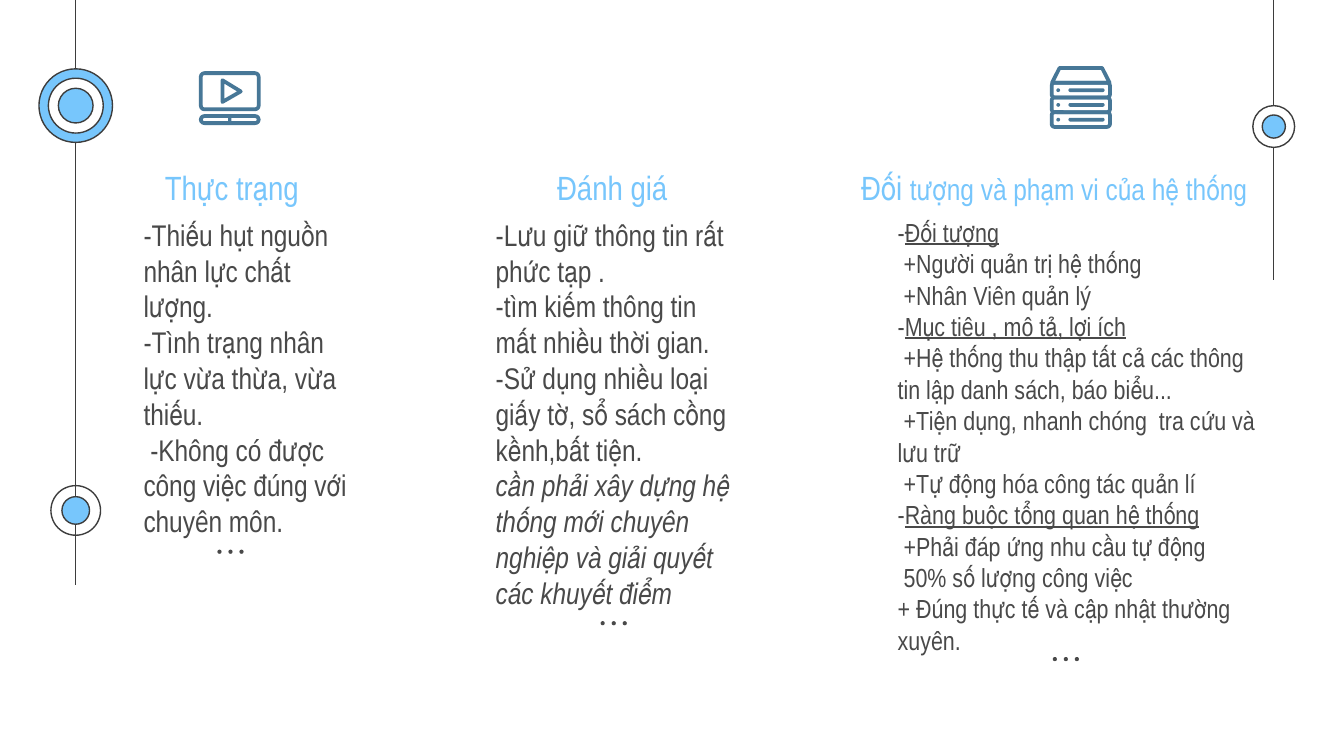
from lxml import etree
from pptx import Presentation
from pptx.dml.color import RGBColor
from pptx.enum.shapes import MSO_CONNECTOR, MSO_SHAPE
from pptx.enum.text import MSO_ANCHOR, PP_ALIGN
from pptx.oxml.ns import qn
from pptx.util import Pt

SKY = RGBColor(0x77, 0xC6, 0xFC)
WHITE = RGBColor(0xFF, 0xFF, 0xFF)
DARK = RGBColor(0x3D, 0x3D, 0x3D)
GREY = RGBColor(0x49, 0x49, 0x49)
STEEL = RGBColor(0x47, 0x77, 0x97)
FONT = "Arial Narrow"

prs = Presentation()
prs.slide_width, prs.slide_height = Pt(720), Pt(405)
s = prs.slides.add_slide(prs.slide_layouts[6])


def style(sp, fill=None, line=None, width=0.75):
    """Set fill and outline; None leaves that part empty."""
    sp.shadow.inherit = False
    for part, color in ((sp.fill, fill), (sp.line.fill, line)):
        if color is None:
            part.background()
        else:
            part.solid()
            part.fore_color.rgb = color
    if line is not None:
        sp.line.width = Pt(width)


def add_text(left, top, width, height, paragraphs, size, color, align):
    """Add a text box; each paragraph is a list of (text, {font attribute: value})."""
    tf = s.shapes.add_textbox(Pt(left), Pt(top), Pt(width), Pt(height)).text_frame
    tf.word_wrap = True
    tf.vertical_anchor = MSO_ANCHOR.TOP
    tf.margin_left = tf.margin_right = tf.margin_top = tf.margin_bottom = Pt(7.2)
    for i, runs in enumerate(paragraphs):
        p = tf.paragraphs[0] if i == 0 else tf.add_paragraph()
        p.alignment = align
        p.font.name, p.font.size = FONT, Pt(size)
        p.font.color.rgb = color
        for text, attributes in runs:
            r = p.add_run()
            r.text = text
            for name, value in attributes.items():
                setattr(r.font, name, value)


# Timelines with their rings
LEFT_X, RIGHT_X = 40.6, 682.4
for x, bottom in ((LEFT_X, 313.2), (RIGHT_X, 149.8)):
    line = s.shapes.add_connector(MSO_CONNECTOR.STRAIGHT, Pt(x), Pt(0), Pt(x), Pt(bottom))
    line.line.color.rgb = DARK
    line.line.width = Pt(0.75)
    etree.SubElement(line._element.spPr, qn("a:effectLst"))

rings = [  # centre x, centre y, diameter, fill
    (LEFT_X, 273.5, 26.6, None), (LEFT_X, 273.5, 14.8, SKY),
    (RIGHT_X, 67.8, 22.4, WHITE), (RIGHT_X, 67.8, 12.4, SKY),
    (LEFT_X, 56.6, 39.4, SKY), (LEFT_X, 56.6, 29.4, WHITE), (LEFT_X, 56.6, 18.6, SKY),
]
for x, y, d, fill in rings:
    sp = s.shapes.add_shape(MSO_SHAPE.OVAL, Pt(x - d / 2), Pt(y - d / 2), Pt(d), Pt(d))
    style(sp, fill, DARK)

# Three dots below each column
for left, top in ((116.5, 294.5), (321.8, 332.8), (564, 352)):
    for i in range(3):
        sp = s.shapes.add_shape(MSO_SHAPE.OVAL, Pt(left + 5.9 * i), Pt(top), Pt(2.2), Pt(2.2))
        style(sp, GREY)

# Column headings
headings = [  # left, width, runs
    (54.7, 139, [("Thực trạng", {})]),
    (258.5, 139, [("Đánh giá", {})]),
    (444.2, 241.2, [("Đối ", {}), ("tượng và phạm vi của hệ thống", {"size": Pt(16)})]),
]
for left, width, runs in headings:
    add_text(left, 82.1, width, 26, [runs], 18, SKY, PP_ALIGN.CENTER)

# Column bodies
UNDERLINE = {"underline": True}
situation = [
    [("-Thiếu hụt nguồn nhân lực chất lượng.", {})],
    [("-Tình trạng nhân lực vừa thừa, vừa thiếu.", {})],
    [(" -Không có được công việc đúng với chuyên môn.", {})],
]
assessment = [
    [("-Lưu giữ thông tin rất phức tạp .", {})],
    [("-tìm kiếm thông tin mất nhiều thời gian.", {})],
    [("-Sử dụng nhiều loại giấy tờ, sổ sách cồng kềnh,bất tiện.", {})],
    [("cần phải xây dựng hệ thống mới chuyên nghiệp và giải quyết các khuyết điểm",
      {"italic": True})],
]
scope = [
    [("-", {}), ("Đối tượng", UNDERLINE)],
    [(" +Người quản trị hệ thống", {})],
    [(" +Nhân Viên quản lý", {})],
    [("-", {}), ("Mục tiêu , mô tả, lợi ích", UNDERLINE)],
    [(" +Hệ thống thu thập tất cả các thông tin lập danh sách, báo biểu...", {})],
    [(" +Tiện dụng, nhanh chóng  tra cứu và lưu trữ", {})],
    [(" +Tự động hóa công tác quản lí", {})],
    [("-", {}), ("Ràng buộc tổng quan hệ thống", UNDERLINE)],
    [(" +Phải đáp ứng nhu cầu tự động", {})],
    [(" 50% số lượng công việc", {})],
    [("+ Đúng thực tế và cập nhật thường xuyên.", {})],
]
for left, width, height, paragraphs, size in (
    (69.8, 130.3, 157.7, situation, 16),
    (258.5, 146.2, 187.9, assessment, 16),
    (473.8, 205.9, 242.6, scope, 14),
):
    add_text(left, 108.7, width, height, paragraphs, size, GREY, PP_ALIGN.LEFT)

# Video player and server icons: outlined frames, then solid bars
ROW = 7.9
rows = [44.3 + ROW * i for i in range(3)]
frames = [(107.6, 39.2, 31, 19.4, 0.1), (107.6, 62.2, 31, 3.8, 0.5)]
frames += [(563.4, y, 31.2, ROW, 0.2) for y in rows]
for left, top, width, height, radius in frames:
    sp = s.shapes.add_shape(MSO_SHAPE.ROUNDED_RECTANGLE, Pt(left), Pt(top), Pt(width), Pt(height))
    sp.adjustments[0] = radius
    style(sp, None, STEEL, 2)

bars = [(122.2, 62.2, 1.8, 3.8)]
for y in rows:
    bars += [(565.9, y + 3, 2, 2), (572.4, y + 3, 19.4, 2)]
for left, top, width, height in bars:
    sp = s.shapes.add_shape(MSO_SHAPE.ROUNDED_RECTANGLE, Pt(left), Pt(top), Pt(width), Pt(height))
    sp.adjustments[0] = 0.5
    style(sp, STEEL)

play = [(119.2, 43), (129, 49), (119.2, 54.6)]
server_lid = [(563.6, 44.3), (567.6, 36.4), (590.4, 36.4), (594.4, 44.3)]
for points in (play, server_lid):
    corners = [(Pt(x), Pt(y)) for x, y in points]
    builder = s.shapes.build_freeform(*corners[0])
    builder.add_line_segments(corners[1:], close=True)
    sp = builder.convert_to_shape()
    style(sp, None, STEEL, 2)
    etree.SubElement(sp.line._get_or_add_ln(), qn("a:round"))

prs.save("out.pptx")
